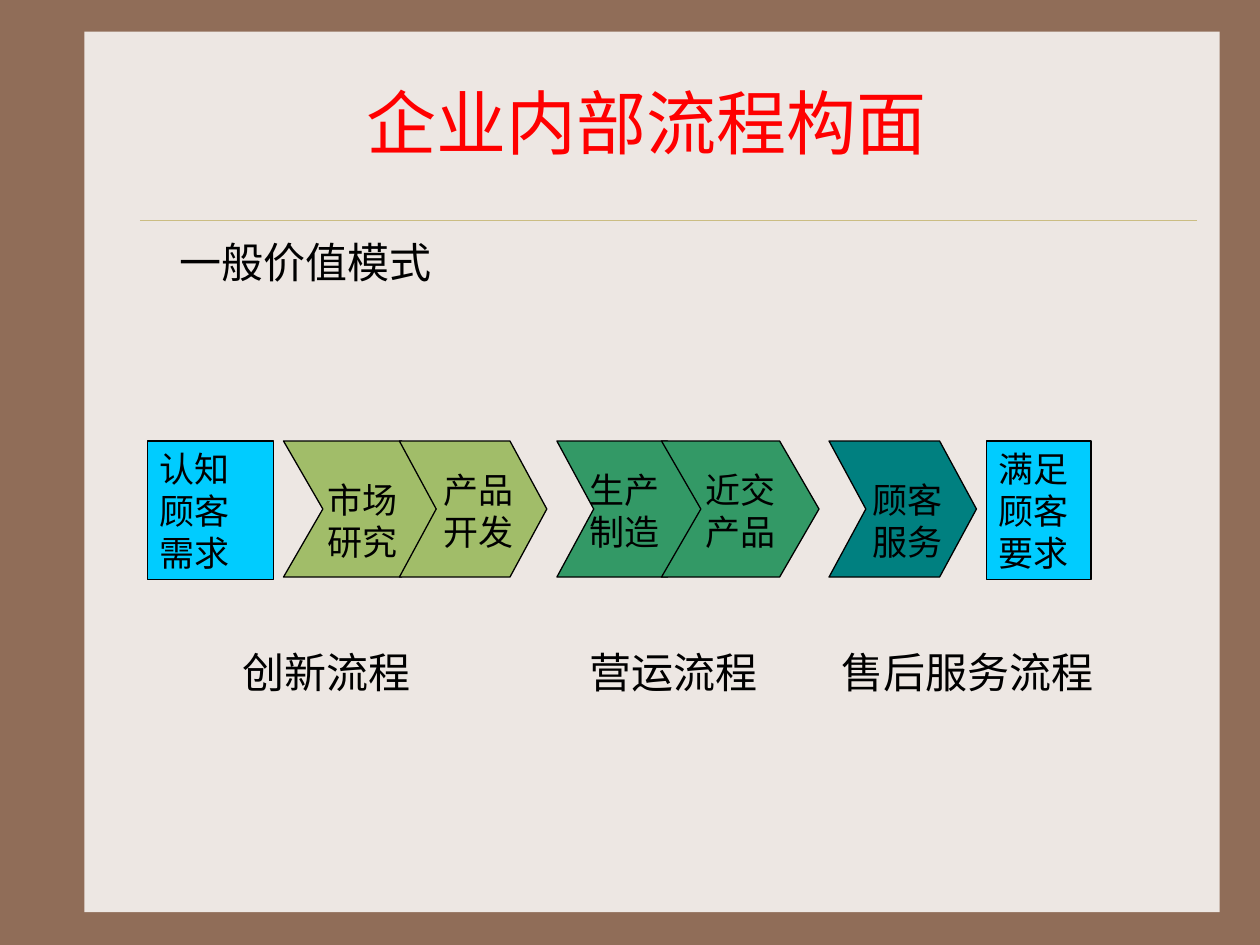
"""Build the slide on the internal process perspective and its value chain."""
from dataclasses import dataclass

import pptx
import pptx.dml.color
import pptx.enum.shapes
import pptx.enum.text
import pptx.util
from lxml import etree

Inches = pptx.util.Inches
Pt = pptx.util.Pt
RGB = pptx.dml.color.RGBColor
Kind = pptx.enum.shapes.MSO_SHAPE
Align = pptx.enum.text.PP_ALIGN

BROWN = RGB(0x90, 0x6D, 0x58)
CREAM = RGB(0xED, 0xE7, 0xE3)
GOLD = RGB(0xCB, 0xBD, 0x83)
RED = RGB(0xFF, 0x00, 0x00)
BLACK = RGB(0x00, 0x00, 0x00)
CYAN = RGB(0x00, 0xCC, 0xFF)
OLIVE = RGB(0xA1, 0xBD, 0x69)
GREEN = RGB(0x33, 0x99, 0x66)
TEAL = RGB(0x00, 0x80, 0x80)
FONT = "Times New Roman"
TOP = 3.5
DEPTH = 1.08


@dataclass
class Box:
    text: str
    left: float
    width: float


@dataclass
class Step:
    left: float
    width: float
    color: RGB
    label: Box
    top: float = 3.67


ENDS = [Box("认知顾客需求", 1.17, 1), Box("满足顾客要求", 7.83, 0.83)]
STEPS = [
    Step(2.25, 1.25, OLIVE, Box("市场研究", 2.5, 0.92), 3.75),
    Step(3.17, 1.17, OLIVE, Box("产品开发", 3.42, 0.83)),
    Step(4.42, 1.17, GREEN, Box("生产制造", 4.58, 1)),
    Step(5.25, 1.25, GREEN, Box("近交产品", 5.5, 0.92)),
    Step(6.58, 1.17, TEAL, Box("顾客服务", 6.83, 0.83), 3.75),
]
PHASES = [
    Box("创新流程", 1.83, 1.92),
    Box("营运流程", 4.58, 1.75),
    Box("售后服务流程", 6.58, 2.42),
]


def write(shape, text: str, *, size=20, color=BLACK, align=Align.LEFT) -> None:
    """Put formatted text at the top of a shape."""
    frame = shape.text_frame
    frame.word_wrap = True
    frame.vertical_anchor = pptx.enum.text.MSO_ANCHOR.TOP
    frame.text = text
    para = frame.paragraphs[0]
    para.alignment = align
    para.font.size = Pt(size)
    para.font.name = FONT
    para.font.color.rgb = color


def draw(slide, kind, left: float, top: float, width: float, height: float,
         fill: RGB, line=BLACK):
    """Add a filled preset shape with an optional outline."""
    shape = slide.shapes.add_shape(
        kind, Inches(left), Inches(top), Inches(width), Inches(height))
    shape.shadow.inherit = False
    shape.fill.solid()
    shape.fill.fore_color.rgb = fill
    if line is None:
        shape.line.fill.background()
    else:
        shape.line.color.rgb = line
        shape.line.width = Pt(0.75)
    return shape


def label(slide, box: Box, top: float, height: float, size: int) -> None:
    """Add a text box."""
    shape = slide.shapes.add_textbox(
        Inches(box.left), Inches(top), Inches(box.width), Inches(height))
    write(shape, box.text, size=size)


def rule(slide, left: float, right: float, top: float) -> None:
    """Add the thin line under the title."""
    line = slide.shapes.add_connector(
        pptx.enum.shapes.MSO_CONNECTOR.STRAIGHT,
        Inches(left), Inches(top), Inches(right), Inches(top))
    line.line.color.rgb = GOLD
    line.line.width = Pt(0.25)
    etree.SubElement(line._element.spPr, pptx.oxml.ns.qn("a:effectLst"))


def arrow(slide, step: Step) -> None:
    """Add a chevron and its label."""
    shape = draw(slide, Kind.CHEVRON, step.left, TOP, step.width, DEPTH,
                 step.color)
    shape.adjustments[0] = 0.25 * step.width / DEPTH
    label(slide, step.label, step.top, 0.77, 20)


def main() -> None:
    """Build and save the deck."""
    deck = pptx.Presentation()
    deck.slide_width, deck.slide_height = Inches(10), Inches(7.5)
    slide = deck.slides.add_slide(deck.slide_layouts[5])
    slide.background.fill.solid()
    slide.background.fill.fore_color.rgb = BROWN

    panel = draw(slide, Kind.RECTANGLE, 0.67, 0.25, 9.01, 6.99, CREAM, None)
    title = slide.shapes.title
    panel._element.addnext(title._element)
    title.left, title.top = Inches(2.17), Inches(0.58)
    title.width, title.height = Inches(5.92), Inches(0.77)
    write(title, "企业内部流程构面", size=40, color=RED, align=Align.CENTER)
    rule(slide, 1.11, 9.5, 1.75)
    label(slide, Box("一般价值模式", 1.33, 2.5), 1.83, 0.5, 24)

    for end in ENDS:
        shape = draw(slide, Kind.RECTANGLE, end.left, TOP, end.width, 1.1, CYAN)
        write(shape, end.text)
    for step in STEPS:
        arrow(slide, step)
    for phase in PHASES:
        label(slide, phase, 5.08, 0.5, 24)
    deck.save("out.pptx")


if __name__ == "__main__":
    main()
